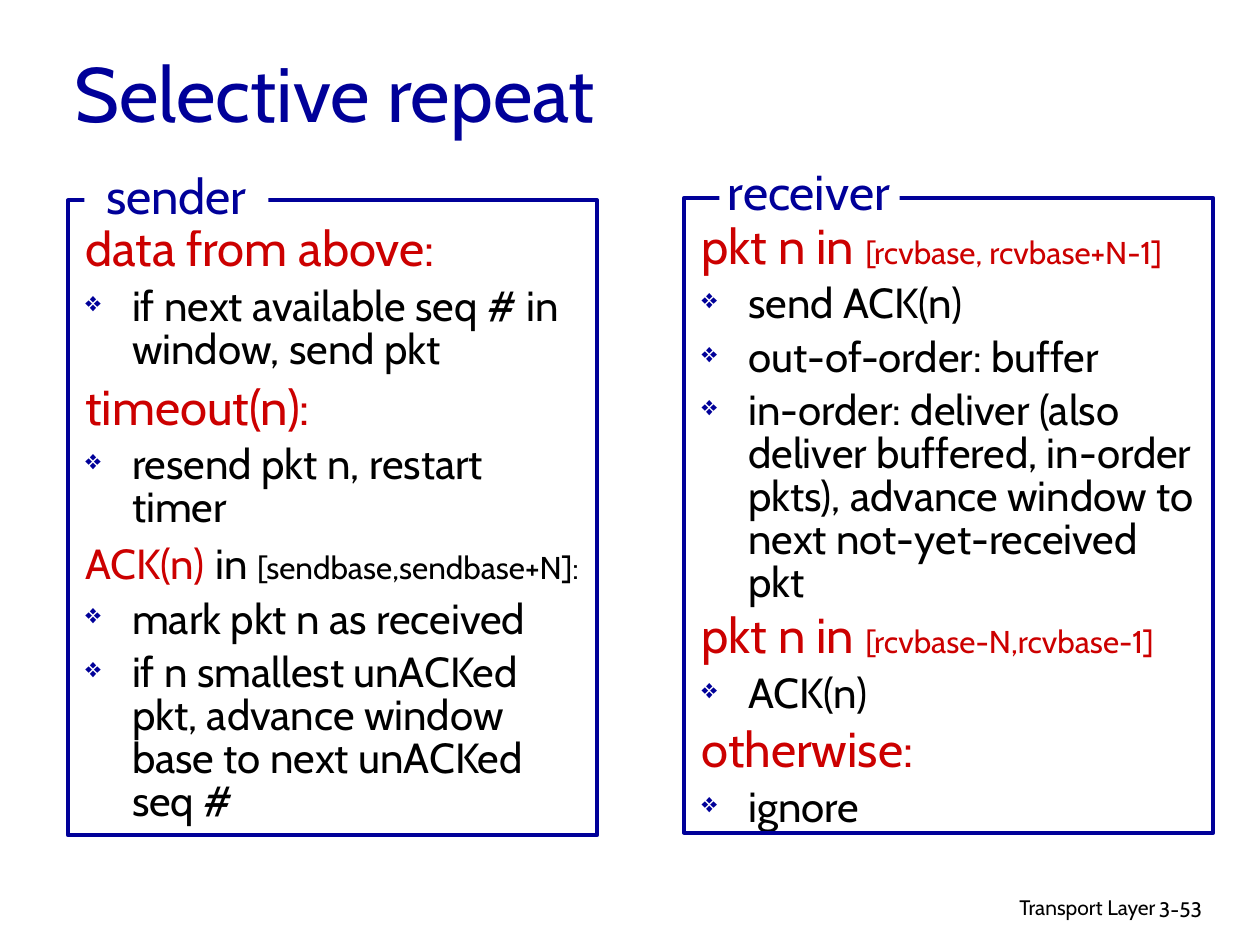
import pptx
import pptx.util
import pptx.dml.color
import pptx.enum.shapes
import pptx.enum.text
import lxml.etree

Pt = pptx.util.Pt
ALIGN = pptx.enum.text.PP_ALIGN
NS = "http://schemas.openxmlformats.org/drawingml/2006/main"

THEME = {
    "font": "Cabin",
    "blue": "000099", "red": "CC0000", "black": "000000", "white": "FFFFFF",
    "title": 44, "head": 28, "body": 24, "range": 18, "footer": 12,
    "frame": 2.25, "leading": 0.85, "indent": 0.37,
}

prs = pptx.Presentation()
prs.slide_width, prs.slide_height = pptx.util.Inches(10), pptx.util.Inches(7.5)
COL, ROW = prs.slide_width / 100, prs.slide_height / 75  # grid of 100 x 75
s = prs.slides.add_slide(prs.slide_layouts[5])


def add_text(p, text, size="body", color="black", align=None, bullet=False):
    """Add a run to paragraph p, with a diamond bullet if asked for."""
    if align is not None:
        p.alignment = align
    if bullet:
        pPr = p._p.get_or_add_pPr()
        pPr.set("marL", str(pptx.util.Inches(THEME["indent"])))
        pPr.set("indent", str(-pptx.util.Inches(THEME["indent"])))
        clr = lxml.etree.SubElement(pPr, f"{{{NS}}}buClr")
        lxml.etree.SubElement(clr, f"{{{NS}}}srgbClr", val=THEME["blue"])
        lxml.etree.SubElement(pPr, f"{{{NS}}}buSzPct", val="65000")
        lxml.etree.SubElement(pPr, f"{{{NS}}}buChar", char="❖")
    r = p.add_run()
    r.text = text
    r.font.name, r.font.size = THEME["font"], Pt(THEME[size])
    r.font.color.rgb = pptx.dml.color.RGBColor.from_string(THEME[color])


def add_box(x, y, w, h, shape=False, fill=None, line=None):
    """Add a text box or a rectangle, placed in grid columns and rows."""
    at = [round(v) for v in (x * COL, y * ROW, w * COL, h * ROW)]
    if not shape:
        sp = s.shapes.add_textbox(*at)
    else:
        sp = s.shapes.add_shape(pptx.enum.shapes.MSO_SHAPE.RECTANGLE, *at)
        sp.shadow.inherit = False
        for part, color in ((sp.fill, fill), (sp.line.fill, line)):
            if color:
                part.solid()
                part.fore_color.rgb = pptx.dml.color.RGBColor.from_string(THEME[color])
            else:
                part.background()
        if line:
            sp.line.width = Pt(THEME["frame"])
    sp.text_frame.word_wrap = True
    return sp


# Title
sp = s.shapes.title
sp.left, sp.top = round(4.9 * COL), round(2.7 * ROW)
sp.width, sp.height = round(85 * COL), round(9.2 * ROW)
tf = sp.text_frame
tf.auto_size = pptx.enum.text.MSO_AUTO_SIZE.NONE
tf.vertical_anchor = pptx.enum.text.MSO_ANCHOR.MIDDLE
add_text(tf.paragraphs[0], "Selective repeat", size="title", color="blue", align=ALIGN.LEFT)

# Footer and slide number
p = add_box(61, 70.5, 31.7, 3.1).text_frame.paragraphs[0]
add_text(p, "Transport Layer", size="footer", align=ALIGN.RIGHT)
p = add_box(91, 70.7, 7.4, 3).text_frame.paragraphs[0]
add_text(p, "3-53", size="footer")

# Panel contents: a string is a bullet; a tuple is (space before, heading runs)
sender = [
    (0, [("data from above:", "head", "red")]),
    "if next available seq # in window, send pkt",
    (7, [("timeout(n):", "head", "red")]),
    "resend pkt n, restart timer",
    (4.5, [("ACK(n)", "body", "red"), (" ", "head", "red"), ("in ", "body", "black"),
           ("[sendbase,sendbase+N]:", "range", "black")]),
    "mark pkt n as received",
    "if n smallest unACKed pkt, advance window base to next unACKed seq #",
]
receiver = [
    (0, [("pkt n in ", "head", "red"), ("[rcvbase, rcvbase+N-1]", "range", "red")]),
    "send ACK(n)",
    "out-of-order: buffer",
    "in-order: deliver (also deliver buffered, in-order pkts), "
    "advance window to next not-yet-received pkt",
    (4.5, [("pkt n in ", "head", "red"), ("[rcvbase-N,rcvbase-1]", "range", "red")]),
    "ACK(n)",
    (6, [("otherwise:", "head", "red")]),
    "ignore",
]

# Panels: text, frame, then a label over a gap in the frame's top edge
panels = [
    ("sender", sender, (5.4, 15.9), (6.7, 12.6, 14.6, 5.7), None),
    ("receiver", receiver, (54.3, 15.7), (55.9, 12.3, 16.6, 5.7), (57.1, 14.2, 14.3, 3.1)),
]
for name, items, (x, y), label, gap in panels:
    tf = add_box(x + 0.4, y + 1.6, 41.7, 50.8).text_frame
    for i, item in enumerate(items):
        p = tf.paragraphs[0] if i == 0 else tf.add_paragraph()
        p.line_spacing = THEME["leading"]
        if isinstance(item, str):
            p.space_before = Pt(6)
            add_text(p, item, bullet=True)
        else:
            p.space_before = Pt(item[0])
            for text, size, color in item[1]:
                add_text(p, text, size=size, color=color)

    add_box(x, y, 42, 50.4, shape=True, line="blue")
    if gap:
        add_box(*gap, shape=True, fill="white")
        sp = add_box(*label)
    else:
        sp = add_box(*label, shape=True, fill="white")
    add_text(sp.text_frame.paragraphs[0], name, size="head", color="blue", align=ALIGN.CENTER)

prs.save("out.pptx")
